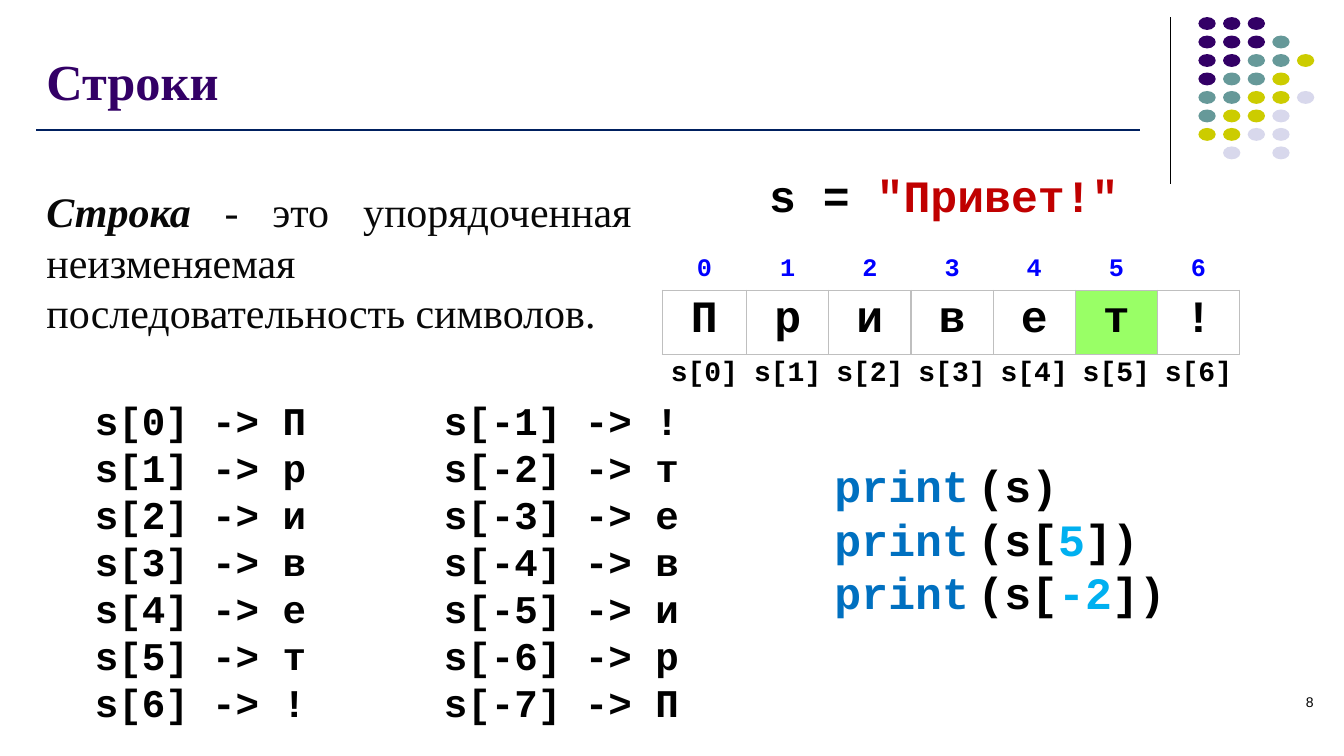
from dataclasses import dataclass

from lxml.etree import SubElement
from pptx import Presentation
from pptx.dml.color import RGBColor
from pptx.enum.shapes import MSO_CONNECTOR, MSO_SHAPE
from pptx.enum.text import MSO_ANCHOR, MSO_AUTO_SIZE, PP_ALIGN
from pptx.oxml.ns import qn
from pptx.util import Pt


@dataclass(frozen=True)
class Theme:
    serif: str = "Times New Roman"
    sans: str = "Arial"
    mono: str = "Courier New"
    purple: str = "330066"
    teal: str = "669999"
    olive: str = "CCCC00"
    lavender: str = "D8D8EC"
    navy: str = "002060"
    black: str = "000000"
    ink: str = "080808"
    index: str = "0000FF"
    keyword: str = "0070C0"
    number: str = "00B0F0"
    literal: str = "C00000"
    highlight: str = "99FF66"
    grid: str = "BFBFBF"
    title: int = 36
    code: int = 32
    body: int = 30
    listing: int = 28
    access: int = 20
    position: int = 18
    small: int = 10


theme = Theme()


def style(font, name, size, color, bold=True):
    font.name = name
    font.size = Pt(size)
    font.bold = bold
    font.color.rgb = RGBColor.from_string(color)


def add_text(left, top, width, height, lines, size, align, name=theme.mono, bold=True):
    """Add a text box; each line is a list of (text, colour) runs."""
    box = slide.shapes.add_textbox(Pt(left), Pt(top), Pt(width), Pt(height))
    frame = box.text_frame
    frame.word_wrap = True
    for number, pieces in enumerate(lines):
        paragraph = frame.paragraphs[0] if number == 0 else frame.add_paragraph()
        paragraph.alignment = align
        style(paragraph.font, name, size, theme.black, bold)
        for text, color in pieces:
            run = paragraph.add_run()
            run.text = text
            style(run.font, name, size, color, bold)
    return frame


deck = Presentation()
deck.slide_width, deck.slide_height = Pt(960), Pt(540)
slide = deck.slides.add_slide(deck.slide_layouts[1])

# Rules: corner divider and title underline
for x1, y1, x2, y2, color, weight in (
    (835.9, 12.2, 835.9, 131.8, theme.black, 0.75),
    (25.9, 92.9, 814.3, 92.9, theme.navy, 1.5),
):
    rule = slide.shapes.add_connector(MSO_CONNECTOR.STRAIGHT, Pt(x1), Pt(y1), Pt(x2), Pt(y2))
    rule.line.color.rgb = RGBColor.from_string(color)
    rule.line.width = Pt(weight)
    SubElement(rule._element.spPr, qn("a:effectLst"))

# Corner dots
dot_colors = {"P": theme.purple, "T": theme.teal, "O": theme.olive, "L": theme.lavender}
dot_rows = ("PPP", "PPPT", "PPTTO", "PTTO", "TTOOL", "TOOL", "OOLL", " L L")
for row, codes in enumerate(dot_rows):
    for column, code in enumerate(codes):
        if code == " ":
            continue
        dot = slide.shapes.add_shape(
            MSO_SHAPE.OVAL, Pt(856 + 17.6 * column), Pt(12.2 + 13.2 * row), Pt(12.4), Pt(9.2))
        dot.shadow.inherit = False
        dot.fill.solid()
        dot.fill.fore_color.rgb = RGBColor.from_string(dot_colors[code])
        dot.line.fill.background()

# Title
title = slide.shapes.title
title.left, title.top, title.width, title.height = Pt(25.9), Pt(20.2), Pt(751), Pt(62.6)
title.text_frame.text = "Строки"
title.text_frame.vertical_anchor = MSO_ANCHOR.BOTTOM
heading = title.text_frame.paragraphs[0]
heading.alignment = PP_ALIGN.LEFT
style(heading.font, theme.serif, theme.title, theme.purple)

# Definition
definition = slide.placeholders[1]
definition.left, definition.top = Pt(25.9), Pt(129)
definition.width, definition.height = Pt(432.7), Pt(117)
sentence = definition.text_frame.paragraphs[0]
sentence.alignment = PP_ALIGN.JUSTIFY
sentence.space_before = Pt(0)
properties = sentence._p.get_or_add_pPr()
properties.set("marL", "0")
properties.set("indent", "0")
SubElement(properties, qn("a:buNone"))
style(sentence.font, theme.serif, theme.body, theme.ink, bold=False)
term = sentence.add_run()
term.text = "Строка"
term.font.bold = term.font.italic = True
sentence.add_run().text = " - это упорядоченная неизменяемая последовательность символов."

# Indexed characters of the string
word = "Привет!"
highlighted = 5
table_rows = (
    (28.8, theme.position, theme.index, [str(i) for i in range(len(word))]),
    (45.6, theme.code, theme.black, word),
    (26.8, theme.access, theme.black, [f"s[{i}]" for i in range(len(word))]),
)
frame = slide.shapes.add_table(3, len(word), Pt(473), Pt(178.6), Pt(412.6), Pt(101.2))
table = frame.table
table.first_row = table.horz_banding = False
for column in range(len(word)):
    table.columns[column].width = Pt(60.4 if column == 0 else 58.7)
for row, (height, size, color, texts) in enumerate(table_rows):
    table.rows[row].height = Pt(height)
    grid_sides = (("lnB",), ("lnL", "lnR", "lnT", "lnB"), ("lnT",))[row]
    for column, text in enumerate(texts):
        cell = table.cell(row, column)
        cell.text = text
        if row == 2:
            cell.margin_left = cell.margin_right = cell.margin_bottom = Pt(0)
            cell.margin_top = Pt(2.9)
        paragraph = cell.text_frame.paragraphs[0]
        paragraph.alignment = PP_ALIGN.CENTER
        style(paragraph.font, theme.mono, size, color)
        for side in ("lnL", "lnR", "lnT", "lnB"):
            border = SubElement(cell._tc.get_or_add_tcPr(), qn(f"a:{side}"), w=str(Pt(1)))
            if side in grid_sides:
                ink = SubElement(border, qn("a:solidFill"))
                SubElement(ink, qn("a:srgbClr"), val=theme.grid)
            else:
                SubElement(border, qn("a:noFill"))
        if row == 1 and column == highlighted:
            cell.fill.solid()
            cell.fill.fore_color.rgb = RGBColor.from_string(theme.highlight)
        else:
            cell.fill.background()

# Assignment
add_text(542.2, 115.9, 301.7, 46, [[("s = ", theme.black), (f'"{word}"', theme.literal)]],
         theme.code, PP_ALIGN.JUSTIFY)

# Access by positive and negative index
forward = [[(f"s[{i}] -> {char}", theme.black)] for i, char in enumerate(word)]
backward = [[(f"s[-{i}] -> {char}", theme.black)] for i, char in enumerate(reversed(word), 1)]
for left, lines in ((25.9, forward), (283.7, backward)):
    add_text(left, 279.4, 234.7, 244.8, lines, theme.listing, PP_ALIGN.CENTER)

# Print calls, with a narrow space after the keyword
calls = [
    [("print", theme.keyword), (" ", theme.keyword), *arguments]
    for arguments in (
        [("(s)", theme.black)],
        [("(s[", theme.black), ("5", theme.number), ("])", theme.black)],
        [("(s[", theme.black), ("-2", theme.number), ("])", theme.black)],
    )
]
printing = add_text(589, 323.3, 254.9, 123.8, calls, theme.code, PP_ALIGN.LEFT)
printing.word_wrap = False
printing.auto_size = MSO_AUTO_SIZE.SHAPE_TO_FIT_TEXT
for paragraph in printing.paragraphs:
    paragraph.runs[1].font.size = Pt(theme.small)

# Slide number
add_text(914.4, 491.8, 31, 28, [[("8", theme.black)]], theme.small, PP_ALIGN.RIGHT,
         theme.sans, bold=False)

deck.save("out.pptx")
